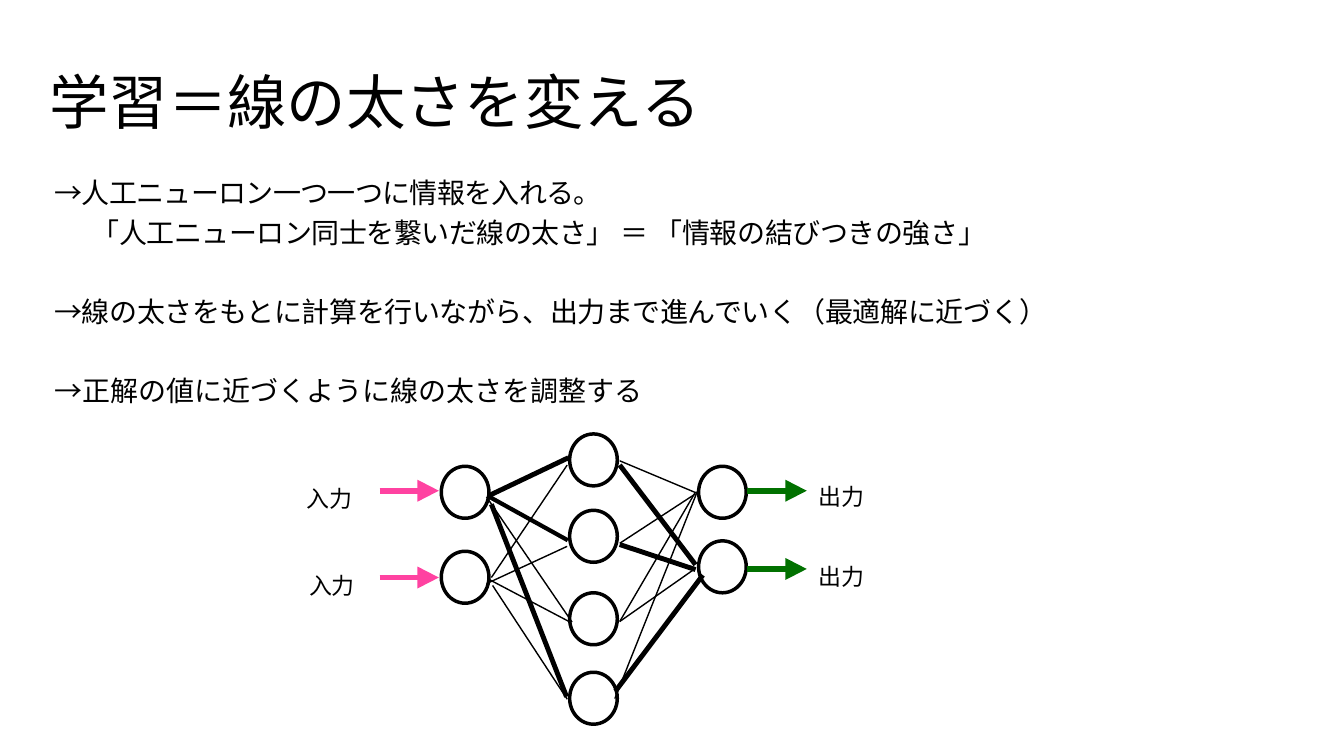
import pptx
import pptx.util
import pptx.dml.color
import pptx.enum.shapes
import pptx.enum.text
import pptx.oxml.ns
import lxml.etree

PX = 9144  # EMU per px, 100 px to the inch

THEME = {
    "font": "Noto Sans CJK JP",
    "ink": pptx.dml.color.RGBColor(0x00, 0x00, 0x00),
    "input": pptx.dml.color.RGBColor(0xFF, 0x42, 0xA1),
    "output": pptx.dml.color.RGBColor(0x01, 0x71, 0x00),
    "title": 70, "body": 33, "label": 27,
    "node": 4.12, "thin": 1.65, "medium": 4.95, "thick": 5.77, "arrow": 6.6,
}


def write(p, text, size, spacing, line_height):
    """Add one run in the theme font to a left-aligned paragraph."""
    p.alignment = pptx.enum.text.PP_ALIGN.LEFT
    p.line_spacing = pptx.util.Pt(line_height)
    r = p.add_run()
    r.text = text
    r.font.size = pptx.util.Pt(size)
    r.font.name = THEME["font"]
    r.font.color.rgb = THEME["ink"]
    rPr = r.font._element
    rPr.set("spc", str(round(spacing * 100)))
    ea = lxml.etree.Element(pptx.oxml.ns.qn("a:ea"), typeface=THEME["font"])
    rPr.find(pptx.oxml.ns.qn("a:latin")).addnext(ea)


def line(x1, y1, x2, y2, width, color):
    """Draw a straight line without a shadow."""
    c = s.shapes.add_connector(pptx.enum.shapes.MSO_CONNECTOR.STRAIGHT,
                               x1 * PX, y1 * PX, x2 * PX, y2 * PX)
    c.line.width = pptx.util.Pt(width)
    c.line.color.rgb = color
    lxml.etree.SubElement(c._element.spPr, pptx.oxml.ns.qn("a:effectLst"))


prs = pptx.Presentation()
prs.slide_width, prs.slide_height = 2199 * PX, 1237 * PX
s = prs.slides.add_slide(prs.slide_layouts[1])
title, body = s.placeholders[0], s.placeholders[1]

# Title and body frames: box and top inset
label_boxes = [("入力", 502, 788), ("入力", 506, 931), ("出力", 1339, 785), ("出力", 1339, 916)]
labels = [(s.shapes.add_textbox(0, 0, PX, PX), text, x, y) for text, x, y in label_boxes]
frames = [(title, 71, 92, 1100, 128, 10, 13), (body, -13, 241, 1810, 425, 0, 46)]
frames += [(sp, x, y, 78, 48, 0, 4) for sp, text, x, y in labels]
for sp, x, y, w, h, inset_x, inset_top in frames:
    sp.left, sp.top, sp.width, sp.height = x * PX, y * PX, w * PX, h * PX
    tf = sp.text_frame
    tf.word_wrap = True
    tf.auto_size = pptx.enum.text.MSO_AUTO_SIZE.NONE
    tf.vertical_anchor = pptx.enum.text.MSO_ANCHOR.TOP
    tf.margin_left = tf.margin_right = inset_x * PX
    tf.margin_top, tf.margin_bottom = inset_top * PX, 0

# Title and label text
write(title.text_frame.paragraphs[0], "学習＝線の太さを変える", THEME["title"], 0, 85)
for sp, text, x, y in labels:
    write(sp.text_frame.paragraphs[0], text, THEME["label"], -0.2, 33)

# Body: indent px, space before pt, runs with letter spacing
paragraphs = [
    (102, 0, [("→人工ニューロン一つ一つに情報を入れる。", -0.8)]),
    (163, 6.6, [("「人工ニューロン同士を繋いだ線の太さ」 ", -0.6), ("＝ ", 0),
                ("「情報の結びつきの強さ」", -0.5)]),
    (102, 52.7, [("→線の太さをもとに計算を行いながら、出力まで進んでいく", -0.5),
                 ("（最適解に近づく", -0.4), ("）", -0.5)]),
    (102, 52.7, [("→正解の値に近づくように線の太さを調整する", 0)]),
]
tf = body.text_frame
for i, (indent, before, runs) in enumerate(paragraphs):
    p = tf.add_paragraph() if i else tf.paragraphs[0]
    p.space_before = pptx.util.Pt(before)
    pPr = p._p.get_or_add_pPr()
    pPr.set("marL", str(indent * PX))
    pPr.set("indent", "0")
    lxml.etree.SubElement(pPr, pptx.oxml.ns.qn("a:buNone"))
    for text, spacing in runs:
        write(p, text, THEME["body"], spacing, 40.2)

# Neurons, layer by layer
layers = {722: [763, 902], 932: [710, 835, 970, 1100], 1143: [763, 885]}
for x, tops in layers.items():
    for y in tops:
        sp = s.shapes.add_shape(pptx.enum.shapes.MSO_SHAPE.OVAL, x * PX, y * PX, 78 * PX, 85 * PX)
        sp.shadow.inherit = False
        sp.fill.background()
        sp.line.color.rgb = THEME["ink"]
        sp.line.width = pptx.util.Pt(THEME["node"])

# Weighted links between the layers
links = [
    (802, 810, 930, 749, "thick"), (799, 812, 929, 884, "medium"),
    (796, 813, 936, 1018, "thin"), (804, 825, 927, 1140, "thick"),
    (804, 945, 928, 761, "thin"), (796, 955, 928, 894, "thin"),
    (798, 947, 933, 1018, "thin"), (806, 958, 928, 1144, "thin"),
    (1014, 754, 1138, 806, "thin"), (1014, 761, 1138, 924, "thick"),
    (1014, 889, 1138, 808, "thin"), (1014, 891, 1138, 932, "thick"),
    (1014, 1017, 1138, 805, "thin"), (1014, 1017, 1138, 930, "thin"),
    (1006, 1143, 1141, 804, "thin"), (1007, 1131, 1150, 941, "thick"),
]
for x1, y1, x2, y2, weight in links:
    line(x1, y1, x2, y2, THEME[weight], THEME["ink"])

# Input and output arrows: shaft and solid head
for x, y, role in [(621, 803, "input"), (621, 945, "input"),
                   (1223, 803, "output"), (1223, 931, "output")]:
    line(x, y, x + 66, y, THEME["arrow"], THEME[role])
    outline = s.shapes.build_freeform(x + 62, y - 18, scale=PX)
    outline.add_line_segments([(x + 62, y + 18), (x + 97, y)], close=True)
    head = outline.convert_to_shape()
    head.shadow.inherit = False
    head.fill.solid()
    head.fill.fore_color.rgb = THEME[role]
    head.line.fill.background()

prs.save("out.pptx")
